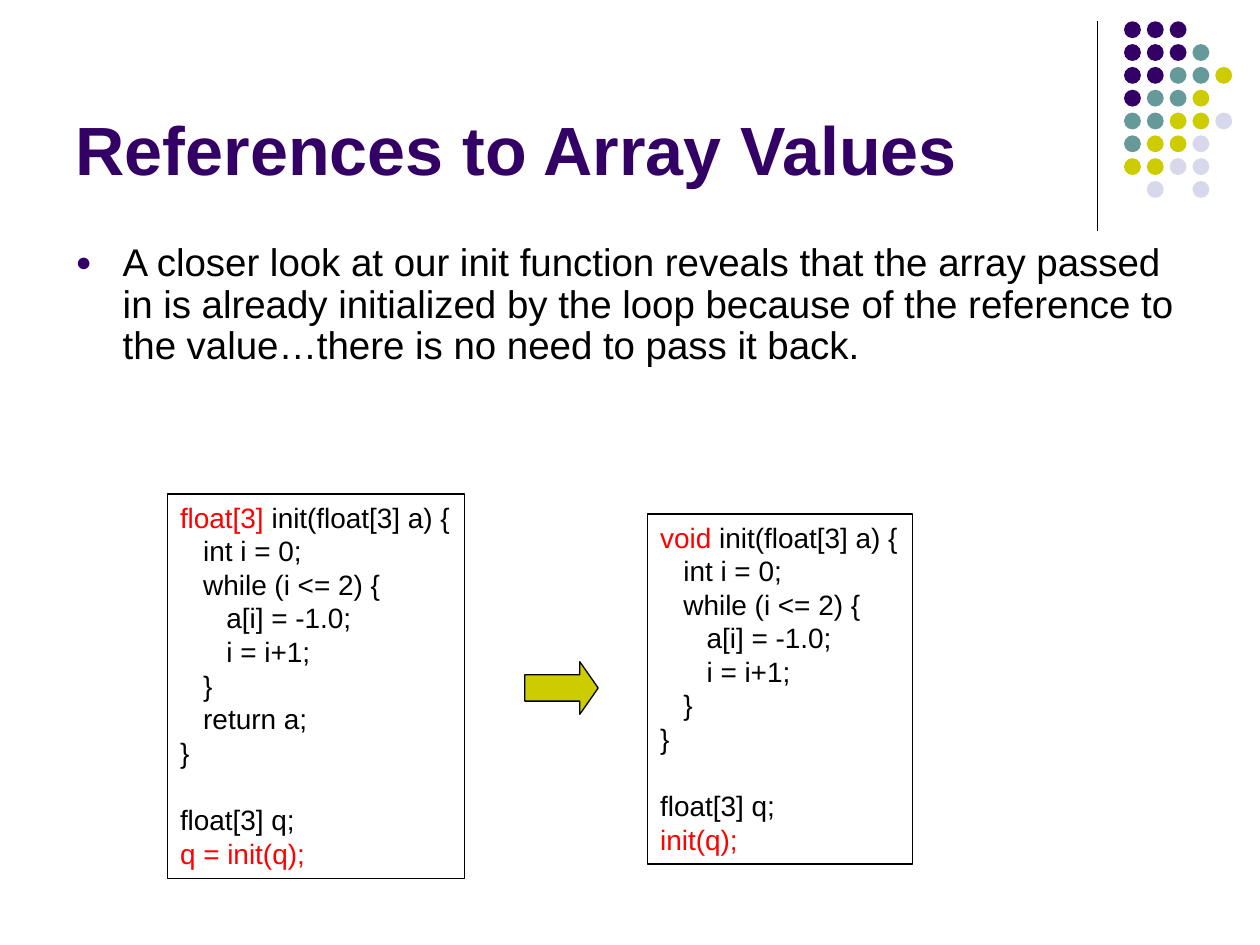
from lxml import etree
from pptx import Presentation, util as u
from pptx.dml.color import RGBColor
from pptx.enum import shapes, text
from pptx.oxml import ns

COLORS = {
    "purple": "330066", "teal": "669999", "olive": "CCCC00",
    "lavender": "D8D8EC", "black": "000000", "red": "FF0000",
}
FONT = "Arial"


def color(name):
    return RGBColor.from_string(COLORS[name])


def format_font(font, size, color_name, bold=False):
    font.name, font.size, font.bold = FONT, u.Pt(size), bold
    font.color.rgb = color(color_name)


presentation = Presentation()
presentation.slide_width, presentation.slide_height = u.Cm(25.4), u.Cm(19.05)
slide = presentation.slides.add_slide(presentation.slide_layouts[1])

# Vertical rule beside the dots
rule = slide.shapes.add_connector(
    shapes.MSO_CONNECTOR.STRAIGHT, u.Cm(22.12), u.Cm(0.43), u.Cm(22.12), u.Cm(4.65))
rule.line.color.rgb = color("black")
rule.line.width = u.Pt(0.75)
etree.SubElement(rule._element.spPr, ns.qn("a:effectLst"))

# Dot pattern: one letter per dot, a space where there is none
dot_rows = ["PPP", "PPPT", "PPTTO", "PTTO", "TTOOL", "TOOL", "OOLL", " L L"]
dot_colors = {"P": "purple", "T": "teal", "O": "olive", "L": "lavender"}
dots = slide.shapes.add_group_shape()
for row, letters in enumerate(dot_rows):
    for column, letter in enumerate(letters):
        if letter == " ":
            continue
        dot = dots.shapes.add_shape(
            shapes.MSO_SHAPE.OVAL, u.Cm(22.66 + 0.46 * column),
            u.Cm(0.43 + 0.46 * row), u.Cm(0.34), u.Cm(0.34))
        dot.shadow.inherit = False
        dot.fill.solid()
        dot.fill.fore_color.rgb = color(dot_colors[letter])
        dot.line.fill.background()

# Title
title = slide.shapes.title
title.left, title.top, title.width, title.height = (
    u.Cm(1.27), u.Cm(0.33), u.Cm(20.96), u.Cm(3.61))
title.text_frame.text = "References to Array Values"
title.text_frame.vertical_anchor = text.MSO_ANCHOR.BOTTOM
title.text_frame.auto_size = text.MSO_AUTO_SIZE.NONE
paragraph = title.text_frame.paragraphs[0]
paragraph.alignment = text.PP_ALIGN.LEFT
format_font(paragraph.runs[0].font, 39, "purple", bold=True)

# Bulleted explanation
body = slide.placeholders[1]
body.left, body.top, body.width, body.height = (
    u.Cm(1.27), u.Cm(4.78), u.Cm(22.86), u.Cm(3.91))
body.text_frame.text = (
    "A closer look at our init function reveals that the array passed in is already "
    "initialized by the loop because of the reference to the value…there is no need "
    "to pass it back.")
body.text_frame.auto_size = text.MSO_AUTO_SIZE.NONE
paragraph = body.text_frame.paragraphs[0]
paragraph.line_spacing = 0.9
paragraph.space_before = u.Pt(0)
properties = paragraph._p.get_or_add_pPr()
properties.set("marL", str(u.Cm(0.95)))
properties.set("indent", str(-u.Cm(0.95)))
bullet_color = etree.SubElement(properties, ns.qn("a:buClr"))
etree.SubElement(bullet_color, ns.qn("a:srgbClr"), val=COLORS["purple"])
etree.SubElement(properties, ns.qn("a:buSzPct"), val="70000")
etree.SubElement(properties, ns.qn("a:buChar"), char="●")
format_font(paragraph.runs[0].font, 22, "black")

# Arrow from the first version to the second
arrow = slide.shapes.add_shape(
    shapes.MSO_SHAPE.RIGHT_ARROW, u.Cm(10.58), u.Cm(13.34), u.Cm(1.48), u.Cm(1.06))
arrow.adjustments[0], arrow.adjustments[1] = 0.5, 0.35
arrow.shadow.inherit = False
arrow.fill.solid()
arrow.fill.fore_color.rgb = color("olive")
arrow.line.color.rgb = color("black")
arrow.line.width = u.Pt(0.75)

# Code boxes: return type, closing lines of the function, call, then the frame
loop_lines = [
    "   int i = 0;", "   while (i <= 2) {", "      a[i] = -1.0;",
    "      i = i+1;", "   }"]
declaration = "float[3] q;"
code_boxes = [
    ("float[3]", ["   return a;", "}"], "q = init(q);", (3.38, 9.96, 5.99, 7.75)),
    ("void", ["}"], "init(q);", (13.06, 10.36, 5.33, 7.06)),
]
for return_type, ending, call, frame in code_boxes:
    box = slide.shapes.add_shape(
        shapes.MSO_SHAPE.RECTANGLE, *[u.Cm(length) for length in frame])
    box.shadow.inherit = False
    box.fill.background()
    box.line.color.rgb = color("black")
    box.line.width = u.Pt(0.75)
    text_frame = box.text_frame
    text_frame.word_wrap = False
    text_frame.auto_size = text.MSO_AUTO_SIZE.SHAPE_TO_FIT_TEXT
    text_frame.vertical_anchor = text.MSO_ANCHOR.TOP
    lines = [return_type, *loop_lines, *ending, declaration, call]
    text_frame.text = "\n".join(lines)
    text_frame.paragraphs[0].add_run().text = " init(float[3] a) {"
    for paragraph in text_frame.paragraphs:
        paragraph.alignment = text.PP_ALIGN.LEFT
        if paragraph.text == declaration:
            paragraph.space_before = u.Pt(19.2)
        for run in paragraph.runs:
            changed = run.text in (return_type, call)
            format_font(run.font, 16, "red" if changed else "black")

presentation.save("out.pptx")
